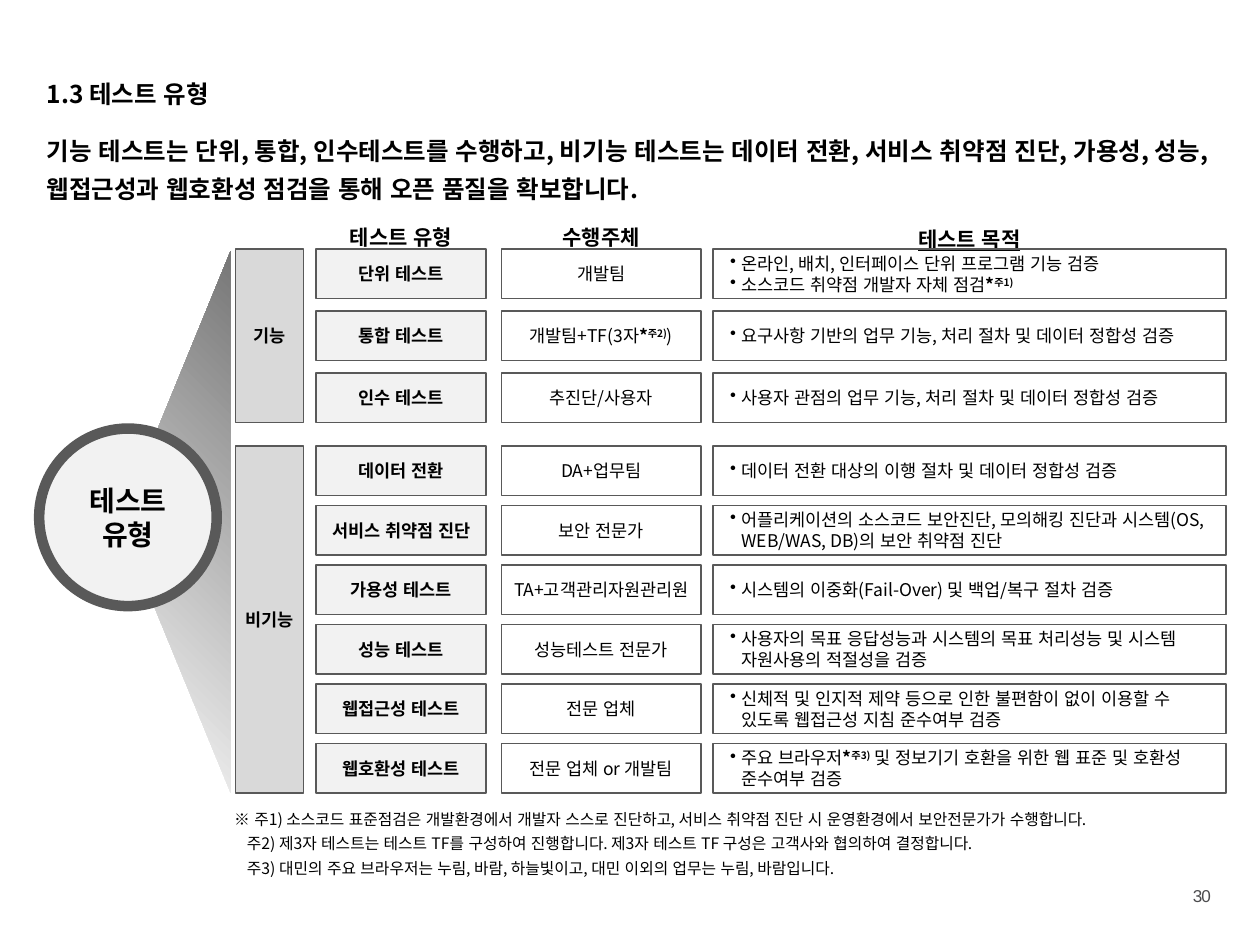
"""Build the slide that lists test types, their owners and their purposes."""
from dataclasses import dataclass

from lxml.etree import SubElement
from pptx import Presentation
from pptx.dml.color import RGBColor
from pptx.enum.lang import MSO_LANGUAGE_ID
from pptx.enum.shapes import MSO_SHAPE
from pptx.enum.text import MSO_ANCHOR, MSO_AUTO_SIZE, PP_ALIGN
from pptx.oxml.ns import qn
from pptx.util import Cm, Pt


@dataclass(frozen=True)
class Theme:
    font: str = "Noto Sans CJK KR"
    number_font: str = "Arial"
    ink: str = "000000"
    number_ink: str = "4C4C4E"
    border: str = "595959"
    group_fill: str = "D9D9D9"
    label_fill: str = "F2F2F2"
    fan_light: str = "FFFFFF"
    fan_dark: str = "777777"
    title: float = 14
    hub: float = 16
    header: float = 12
    body: float = 10
    note: float = 9
    number: float = 9.8


THEME = Theme()


def write_span(para, text, *, size, font=THEME.font, color=THEME.ink, bold=False,
               underline=False, raised=False, spacing=None):
    span = para.add_run()
    span.text = text
    span.font.language_id = MSO_LANGUAGE_ID.KOREAN
    span.font.size = Pt(size)
    span.font.bold = bold
    span.font.underline = underline
    span.font.color.rgb = RGBColor.from_string(color)
    span.font.name = font
    properties = span.font._element
    SubElement(properties, qn("a:ea"), typeface=font)
    if raised:
        properties.set("baseline", "30000")
    if spacing is not None:
        properties.set("spc", str(spacing))


class SlideBuilder:
    def __init__(self, page, theme):
        self.page = page
        self.theme = theme

    def fill_frame(self, frame, paragraphs, *, align=PP_ALIGN.LEFT, line_spacing=None,
                   bullet=False, **style):
        for index, content in enumerate(paragraphs):
            para = frame.add_paragraph() if index else frame.paragraphs[0]
            para.alignment = align
            if line_spacing:
                para.line_spacing = line_spacing
            if bullet:
                properties = para._p.get_or_add_pPr()
                properties.set("marL", str(Cm(0.48)))
                properties.set("indent", str(Cm(-0.23)))
                SubElement(properties, qn("a:buChar"), char="•")
            spans = [(content, {})] if isinstance(content, str) else content
            for text, extra in spans:
                write_span(para, text, **{**style, **extra})

    def text(self, left, top, width, height, paragraphs, *, side_margin=0.25, **style):
        box = self.page.shapes.add_textbox(Cm(left), Cm(top), Cm(width), Cm(height))
        frame = box.text_frame
        frame.word_wrap = True
        frame.auto_size = MSO_AUTO_SIZE.SHAPE_TO_FIT_TEXT
        frame.margin_left = frame.margin_right = Cm(side_margin)
        self.fill_frame(frame, paragraphs, **style)
        return box

    def shape(self, kind, left, top, width, height):
        shape = self.page.shapes.add_shape(kind, Cm(left), Cm(top), Cm(width), Cm(height))
        shape.shadow.inherit = False
        return shape

    def panel(self, left, top, width, height, paragraphs, *, kind=MSO_SHAPE.RECTANGLE,
              fill=None, line=1, wrap=False, align=PP_ALIGN.CENTER, **style):
        panel = self.shape(kind, left, top, width, height)
        if fill:
            panel.fill.solid()
            panel.fill.fore_color.rgb = RGBColor.from_string(fill)
        else:
            panel.fill.background()
        panel.line.color.rgb = RGBColor.from_string(self.theme.border)
        panel.line.width = Pt(line)
        frame = panel.text_frame
        frame.word_wrap = wrap
        frame.vertical_anchor = MSO_ANCHOR.MIDDLE
        frame.margin_left = frame.margin_right = Cm(0.1)
        frame.margin_top = frame.margin_bottom = Cm(0.13)
        self.fill_frame(frame, paragraphs, align=align, **style)

    def fan(self, left, top, width, height):
        fan = self.shape(MSO_SHAPE.ISOSCELES_TRIANGLE, left, top, width, height)
        fan.rotation = 270
        fan.line.fill.background()
        fan.fill.gradient()
        fan.fill.gradient_angle = 315
        for stop, position, color in zip(fan.fill.gradient_stops, (0, 1),
                                         (self.theme.fan_light, self.theme.fan_dark)):
            stop.position = position
            stop.color.rgb = RGBColor.from_string(color)


def note_mark(number):
    return [("*", {"bold": True}), (f"주{number})", {"bold": True, "raised": True})]


GROUP_COLUMN = (4.75, 1.37)
COLUMNS = [(6.37, 3.43), (10.11, 4.02), (14.37, 10.34)]
HEADERS = [("테스트 유형", 4.24), ("수행주체", 4.24), ("테스트 목적", 4.29)]
ROW_HEIGHT = 1.0
GROUPS = [
    ("기능", 5.02, 1.25, [
        ("단위 테스트", "개발팀",
         ["온라인, 배치, 인터페이스 단위 프로그램 기능 검증",
          [("소스코드 취약점 개발자 자체 점검", {}), *note_mark(1)]]),
        ("통합 테스트", [("개발팀+TF(3자", {}), *note_mark(2), (")", {})],
         ["요구사항 기반의 업무 기능, 처리 절차 및 데이터 정합성 검증"]),
        ("인수 테스트", "추진단/사용자",
         ["사용자 관점의 업무 기능, 처리 절차 및 데이터 정합성 검증"]),
    ]),
    ("비기능", 8.99, 1.2, [
        ("데이터 전환", "DA+업무팀",
         ["데이터 전환 대상의 이행 절차 및 데이터 정합성 검증"]),
        ("서비스 취약점 진단", "보안 전문가",
         ["어플리케이션의 소스코드 보안진단, 모의해킹 진단과 시스템(OS, WEB/WAS, DB)의 "
          "보안 취약점 진단"]),
        ("가용성 테스트", "TA+고객관리자원관리원",
         ["시스템의 이중화(Fail-Over) 및 백업/복구 절차 검증"]),
        ("성능 테스트", "성능테스트 전문가",
         ["사용자의 목표 응답성능과 시스템의 목표 처리성능 및 시스템 자원사용의 적절성을 검증"]),
        ("웹접근성 테스트", "전문 업체",
         ["신체적 및 인지적 제약 등으로 인한 불편함이 없이 이용할 수 있도록 웹접근성 지침 "
          "준수여부 검증"]),
        ("웹호환성 테스트", "전문 업체 or 개발팀",
         [[("주요 브라우저", {}), *note_mark(3),
           (" 및 정보기기 호환을 위한 웹 표준 및 호환성 준수여부 검증", {})]]),
    ]),
]
NOTES = [
    "※ 주1) 소스코드 표준점검은 개발환경에서 개발자 스스로 진단하고, 서비스 취약점 진단 시 "
    "운영환경에서 보안전문가가 수행합니다.",
    "주2) 제3자 테스트는 테스트 TF를 구성하여 진행합니다. 제3자 테스트 TF 구성은 고객사와 "
    "협의하여 결정합니다.",
    "주3) 대민의 주요 브라우저는 누림, 바람, 하늘빛이고, 대민 이외의 업무는 누림, 바람입니다.",
]


def main():
    deck = Presentation()
    deck.slide_width, deck.slide_height = Cm(25.4), Cm(19.05)
    builder = SlideBuilder(deck.slides.add_slide(deck.slide_layouts[6]), THEME)

    builder.text(23.8, 17.73, 0.86, 0.69, ["30"], side_margin=0, align=PP_ALIGN.CENTER,
                 size=THEME.number, font=THEME.number_font, color=THEME.number_ink, spacing=-70)
    builder.text(0.69, 1.47, 4.83, 0.86, ["1.3 테스트 유형"], size=THEME.title, bold=True)
    builder.text(0.69, 2.44, 24, 1.8,
                 ["기능 테스트는 단위, 통합, 인수테스트를 수행하고, 비기능 테스트는 데이터 전환, "
                  "서비스 취약점 진단, 가용성, 성능, 웹접근성과 웹호환성 점검을 통해 오픈 품질을 확보합니다."],
                 size=THEME.title, bold=True, line_spacing=1.3)
    notes = builder.text(4.47, 16.08, 19.66, 1.75, NOTES, size=THEME.note, line_spacing=1.3)
    for para in notes.text_frame.paragraphs[1:]:
        para._p.get_or_add_pPr().set("marL", str(Cm(0.26)))

    for (left, width), (header, top) in zip(COLUMNS, HEADERS):
        builder.text(left, top, width, 0.91, [header], align=PP_ALIGN.CENTER, line_spacing=1.3,
                     size=THEME.header, bold=True, underline=True)

    type_column, owner_column, purpose_column = COLUMNS
    for group, group_top, step, rows in GROUPS:
        left, width = GROUP_COLUMN
        builder.panel(left, group_top, width, (len(rows) - 1) * step + ROW_HEIGHT, [group],
                      fill=THEME.group_fill, size=THEME.body, bold=True)
        for index, (test_type, owner, purposes) in enumerate(rows):
            top = group_top + index * step
            for (left, width), content, style in (
                (type_column, [test_type], {"fill": THEME.label_fill, "bold": True}),
                (owner_column, [owner], {}),
                (purpose_column, purposes,
                 {"wrap": True, "align": PP_ALIGN.LEFT, "bullet": True}),
            ):
                builder.panel(left, top, width, ROW_HEIGHT, content, size=THEME.body, **style)

    builder.fan(-1.93, 9.4, 10.92, 2.24)
    builder.panel(0.79, 8.64, 3.58, 3.58, ["테스트", "유형"], kind=MSO_SHAPE.OVAL,
                  fill=THEME.label_fill, line=6, size=THEME.hub, bold=True)
    deck.save("out.pptx")


if __name__ == "__main__":
    main()
